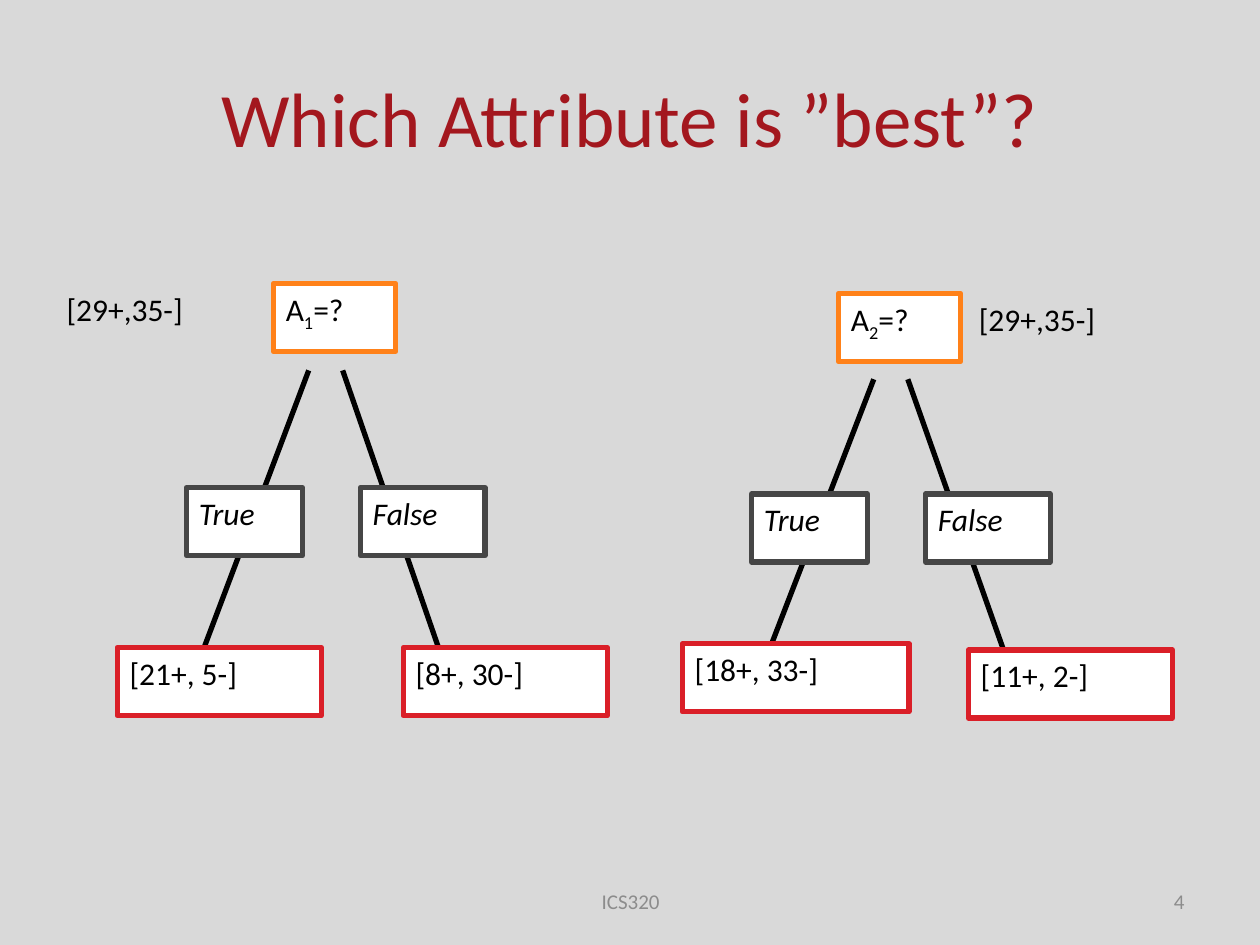
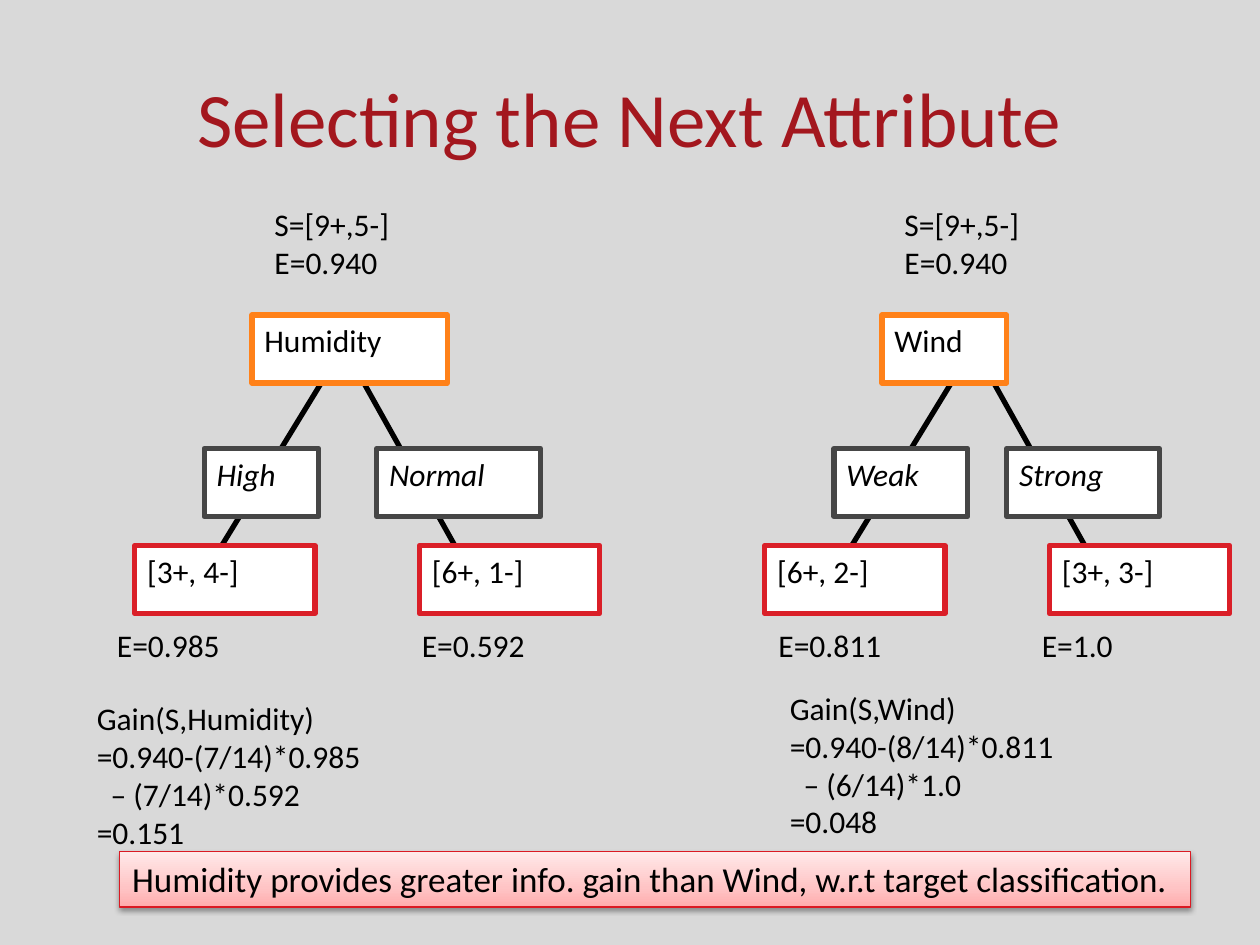
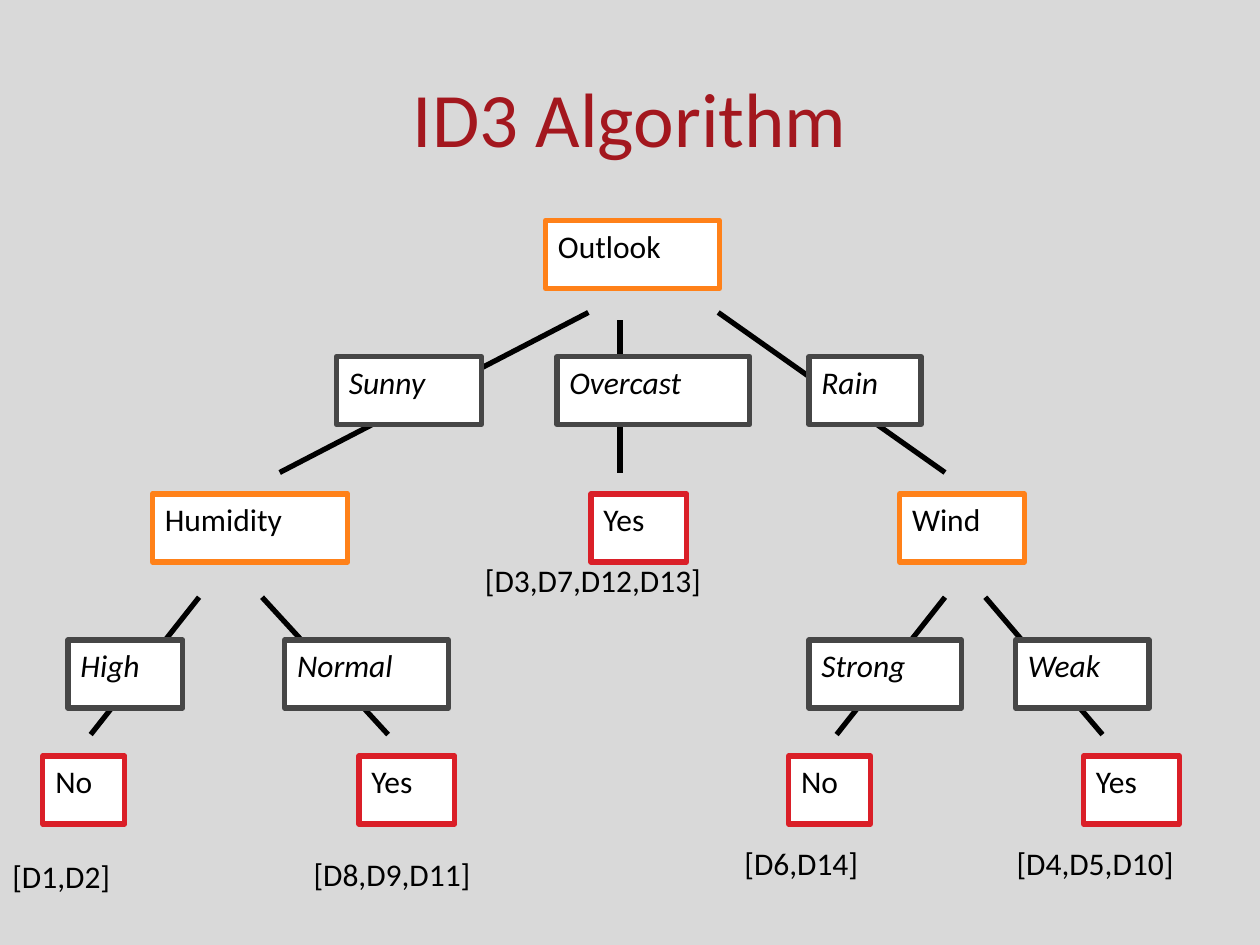
"""Build three slides on choosing decision tree attributes with ID3."""
from copy import deepcopy

from pptx import Presentation
from pptx.dml.color import RGBColor
from pptx.enum.shapes import MSO_CONNECTOR, MSO_SHAPE
from pptx.enum.text import MSO_ANCHOR as ANCHOR, PP_ALIGN as ALIGN
from pptx.oxml import parse_xml
from pptx.oxml.ns import nsdecls, qn
from pptx.util import Inches, Pt

BLACK = RGBColor(0x00, 0x00, 0x00)
WHITE = RGBColor(0xFF, 0xFF, 0xFF)
PALE_GREY = RGBColor(0xD9, 0xD9, 0xD9)
MID_GREY = RGBColor(0x8C, 0x8C, 0x8C)
DARK_GREY = RGBColor(0x46, 0x46, 0x46)
ORANGE = RGBColor(0xFF, 0x81, 0x19)
RED = RGBColor(0xDA, 0x1F, 0x28)
BANNER_RED = RGBColor(0xDA, 0x1A, 0x23)
TITLE_RED = RGBColor(0xA3, 0x17, 0x1E)
BANNER_STOPS = [
    (0, RGBColor(0xFF, 0xAC, 0xAD)),
    (0.35, RGBColor(0xFF, 0xC4, 0xC5)),
    (1, RGBColor(0xFF, 0xE9, 0xE9)),
]

BORDERS = {"root": ORANGE, "branch": DARK_GREY, "leaf": RED, "banner": BANNER_RED}
BODY_FONT = {"name": "Calibri", "size": Pt(18), "italic": False}
FONTS = {
    "branch": {"italic": True},
    "footer": {"size": Pt(12)},
    "banner": {"size": Pt(20)},
}
TITLE_FONT = {"name": "Calibri", "size": Pt(44)}
TITLE_PLACE = {"left": Inches(0.5), "top": Inches(0.3), "width": Inches(9), "height": Inches(1.25)}
BOX_HEIGHT = 0.54
SUBTRACTION_INDENT = Inches(0.11)


def add_text(slide, role, text, left, top, width, height=BOX_HEIGHT):
    place = [Inches(length) for length in (left, top, width, height)]
    if role in BORDERS:
        item = slide.shapes.add_shape(MSO_SHAPE.RECTANGLE, *place)
        item.shadow.inherit = False
        item.fill.solid()
        item.fill.fore_color.rgb = WHITE
        item.line.color.rgb = BORDERS[role]
        item.line.width = Pt(3)
    else:
        item = slide.shapes.add_textbox(*place)
    frame = item.text_frame
    frame.word_wrap = True
    frame.vertical_anchor = ANCHOR.MIDDLE if role == "footer" else ANCHOR.TOP
    for number, line in enumerate(text.split("\n")):
        paragraph = frame.add_paragraph() if number else frame.paragraphs[0]
        paragraph.alignment = ALIGN.LEFT
        if line.startswith("–"):
            paragraph._p.get_or_add_pPr().set("marL", str(SUBTRACTION_INDENT))
        for position, piece in enumerate(line.split("|")):
            run = paragraph.add_run()
            run.text = piece
            for name, value in {**BODY_FONT, **FONTS.get(role, {})}.items():
                setattr(run.font, name, value)
            run.font.color.rgb = MID_GREY if role == "footer" else BLACK
            if position % 2:
                run.font._element.set("baseline", "-25000")
    return item


def add_edge(slide, *ends):
    edge = slide.shapes.add_connector(MSO_CONNECTOR.STRAIGHT, *[Inches(end) for end in ends])
    edge.line.color.rgb = BLACK
    edge.line.width = Pt(3)
    edge._element.spPr.append(parse_xml(f"<a:effectLst {nsdecls('a')}/>"))


prs = Presentation()
prs.slide_width, prs.slide_height = Inches(10), Inches(7.5)
background = prs.slide_master.background.fill
background.solid()
background.fore_color.rgb = PALE_GREY

slides = []
for heading in ("Which Attribute is ”best”?", "Selecting the Next Attribute", "ID3 Algorithm"):
    slide = prs.slides.add_slide(prs.slide_layouts[5])
    title = slide.shapes.title
    for name, value in TITLE_PLACE.items():
        setattr(title, name, value)
    title.text_frame.text = heading
    title.text_frame.vertical_anchor = ANCHOR.MIDDLE
    title_line = title.text_frame.paragraphs[0]
    title_line.alignment = ALIGN.CENTER
    title_font = title_line.runs[0].font
    for name, value in TITLE_FONT.items():
        setattr(title_font, name, value)
    title_font.color.rgb = TITLE_RED
    slides.append(slide)
best, selecting, id3 = slides

course = add_text(best, "footer", "ICS320", 3.42, 6.95, 3.17, 0.4)
course.text_frame.paragraphs[0].alignment = ALIGN.CENTER
page_number = add_text(best, "footer", "4", 7.17, 6.95, 2.33, 0.4)
page_number.text_frame.paragraphs[0].alignment = ALIGN.RIGHT

candidates = [
    (0, "A|1|=?", 2.25, (2.94, 5.14), 3.87, ("[21+, 5-]", 5.14, 1.62), ("[8+, 30-]", 5.14), 0.43),
    (4.485, "A|2|=?", 2.33, (3.01, 5.16), 3.92, ("[18+, 33-]", 5.11, 1.8), ("[11+, 2-]", 5.16), 7.67),
]
for shift, question, root_top, (start, end), branch_top, true_leaf, false_leaf, count_left in candidates:
    add_edge(best, shift + 2.45, start, shift + 1.62, end)
    add_edge(best, shift + 2.72, start, shift + 3.48, end)
    add_text(best, "root", question, shift + 2.17, root_top, 0.97)
    add_text(best, "branch", "True", shift + 1.48, branch_top, 0.92)
    add_text(best, "branch", "False", shift + 2.86, branch_top, 0.99)
    leaf_text, leaf_top, leaf_width = true_leaf
    add_text(best, "leaf", leaf_text, shift + 0.93, leaf_top, leaf_width)
    leaf_text, leaf_top = false_leaf
    add_text(best, "leaf", leaf_text, shift + 3.2, leaf_top, 1.62)
    add_text(best, "label", "[29+,35-]", count_left, root_top, 1.65, 0.5)

attributes = [
    (0, ("Humidity", 1.55), ("High", 0.91), ("Normal", 1.3), "[3+, 4-]", "[6+, 1-]"),
    (5, ("Wind", 0.99), ("Weak", 1.06), ("Strong", 1.21), "[6+, 2-]", "[3+, 3-]"),
]
for shift, (attribute, root_width), first, second, first_count, second_count in attributes:
    add_edge(selecting, shift + 2.58, 2.99, shift + 1.76, 4.33)
    add_edge(selecting, shift + 2.86, 2.99, shift + 3.61, 4.33)
    add_text(selecting, "root", attribute, shift + 2, 2.5, root_width)
    for (value, width), left in ((first, 1.62), (second, 2.99)):
        add_text(selecting, "branch", value, shift + left, 3.56, width)
    for count, left in ((first_count, 1.07), (second_count, 3.33)):
        add_text(selecting, "leaf", count, shift + left, 4.33, 1.43)
    add_text(selecting, "label", "S=[9+,5-]\nE=0.940", shift + 2.08, 1.58, 1.72, 0.9)

humidity_entropy = add_text(selecting, "label", "E=0.985", 0.83, 5, 5, 0.38)
humidity_entropy.text_frame.paragraphs[0].line_spacing = 0.7
for entropy, left in (("E=0.592", 3.25), ("E=0.811", 6.08), ("E=1.0", 8.17)):
    add_text(selecting, "label", entropy, left, 4.92, 5, 0.5)

gains = [
    ("Gain(S,Humidity)\n=0.940-(7/14)*0.985\n– (7/14)*0.592\n=0.151", 0.67, 5.5),
    ("Gain(S,Wind)\n=0.940-(8/14)*0.811\n– (6/14)*1.0\n=0.048", 6.17, 5.42),
]
for gain, left, top in gains:
    add_text(selecting, "label", gain, left, top, 3.44, 1.7)

conclusion = "Humidity provides greater info. gain than Wind, w.r.t target classification."
banner = add_text(selecting, "banner", conclusion, 0.95, 6.76, 8.5, 0.44)
banner.line.width = Pt(0.75)
banner.fill.gradient()
banner.fill.gradient_angle = 90
first_stop = banner.fill.gradient_stops[0]._gs
first_stop.addnext(deepcopy(first_stop))
for stop, (position, color) in zip(banner.fill.gradient_stops, BANNER_STOPS):
    stop.position = position
    stop.color.rgb = color
banner._element.spPr.find(qn("a:effectLst")).append(parse_xml(
    f'<a:outerShdw {nsdecls("a")} blurRad="40000" dist="20000" dir="5400000" rotWithShape="0">'
    '<a:srgbClr val="000000"><a:alpha val="38000"/></a:srgbClr></a:outerShdw>'))

id3_edges = [
    (4.67, 2.48, 2.22, 3.75),
    (5.7, 2.48, 7.5, 3.75),
    (4.92, 2.54, 4.92, 3.75),
    (1.58, 4.74, 0.72, 5.83),
    (2.08, 4.74, 3.08, 5.83),
    (7.82, 4.74, 8.75, 5.83),
    (7.5, 4.74, 6.64, 5.83),
]
for ends in id3_edges:
    add_edge(id3, *ends)

id3_levels = [
    ("root", 1.75, [("Outlook", 4.33, 1.38)]),
    ("branch", 2.83, [("Sunny", 2.67, 1.15), ("Overcast", 4.42, 1.53), ("Rain", 6.42, 0.89)]),
    ("root", 3.92, [("Humidity", 1.21, 1.55), ("Wind", 7.14, 0.99)]),
    ("leaf", 3.92, [("Yes", 4.69, 0.76)]),
    ("branch", 5.08, [("High", 0.54, 0.91), ("Normal", 2.26, 1.3),
                      ("Strong", 6.42, 1.21), ("Weak", 8.06, 1.06)]),
    ("leaf", 6, [("No", 0.34, 0.65), ("Yes", 2.85, 0.76), ("No", 6.26, 0.65), ("Yes", 8.6, 0.76)]),
]
for role, top, nodes in id3_levels:
    for node, left, width in nodes:
        add_text(id3, role, node, left, top, width)

example_days = [
    ("[D3,D7,D12,D13]", 3.75, 4.4, 2.92),
    ("[D8,D9,D11]", 2.39, 6.74, 2.44),
    ("[D6,D14]", 5.81, 6.65, 2.44),
    ("[D1,D2]", 0, 6.75, 1.53),
    ("[D4,D5,D10]", 7.97, 6.65, 2.44),
]
for days, left, top, width in example_days:
    add_text(id3, "label", days, left, top, width, 0.5)

prs.save("out.pptx")
